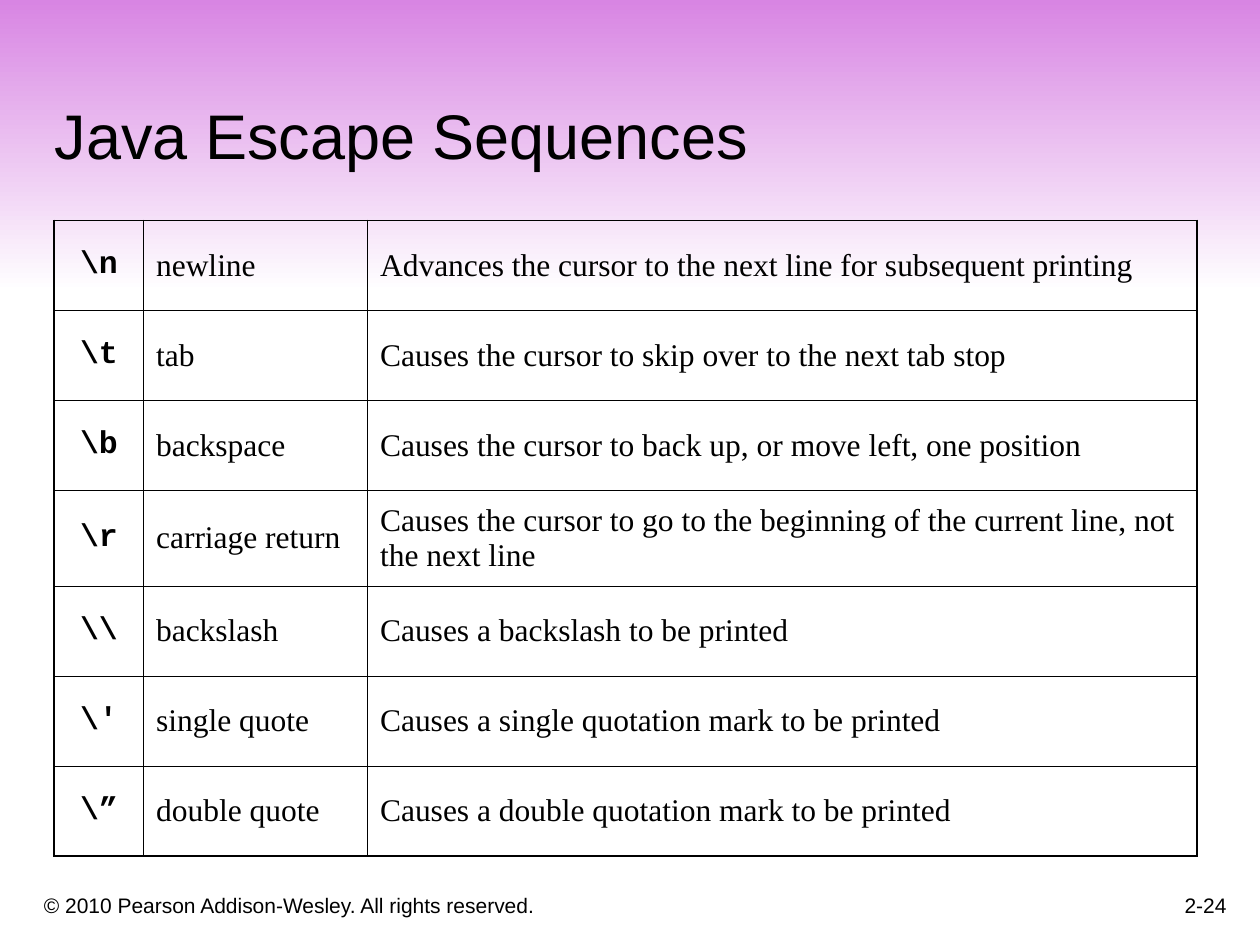
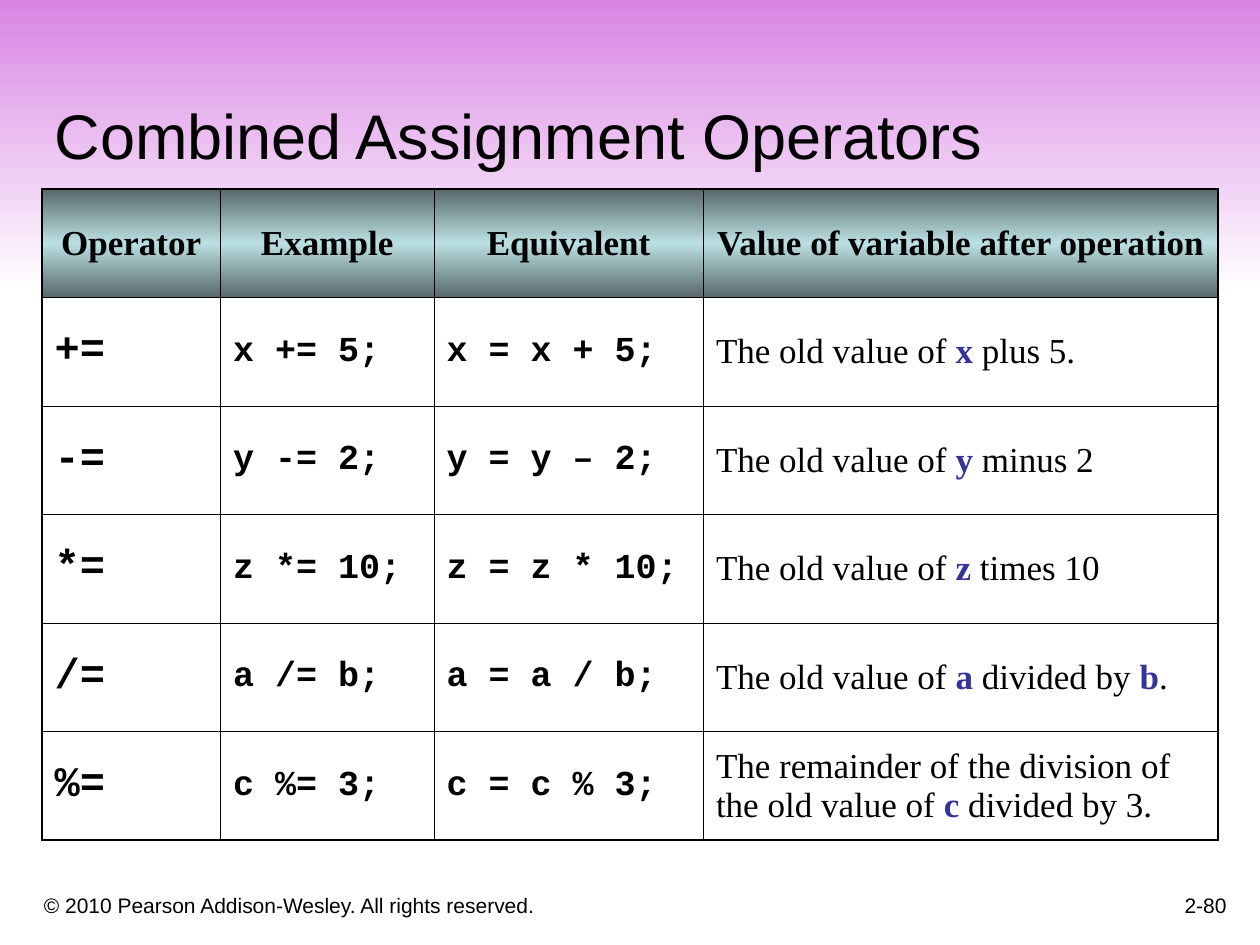
import pptx
import pptx.dml.color
import pptx.enum.shapes
import pptx.enum.text
import pptx.oxml
import pptx.oxml.ns
import pptx.util

Pt = pptx.util.Pt
ALIGN = pptx.enum.text.PP_ALIGN
ANCHOR = pptx.enum.text.MSO_ANCHOR
qn = pptx.oxml.ns.qn

COLORS = {
    "text": "000000",
    "variable": "333399",
    "band": "D885E3",
    "page": "FFFFFF",
    "header_edge": "576869",
    "header_middle": "BBE0E3",
}
SANS, SERIF, CODE = "Arial", "Times New Roman", "Courier New"
OUTER_LINE, INNER_LINE = 1.08, 0.45
COPYRIGHT = "© 2010 Pearson Addison-Wesley. All rights reserved."

ESCAPE_STYLES = [
    (CODE, 18, True, ALIGN.CENTER),
    (SERIF, 18, False, ALIGN.LEFT),
    (SERIF, 18, False, ALIGN.LEFT),
]
ESCAPE_ROWS = [
    ("\\n", "newline", "Advances the cursor to the next line for subsequent printing"),
    ("\\t", "tab", "Causes the cursor to skip over to the next tab stop"),
    ("\\b", "backspace", "Causes the cursor to back up, or move left, one position"),
    ("\\r", "carriage return",
     "Causes the cursor to go to the beginning of the current line, not the next line"),
    ("\\\\", "backslash", "Causes a backslash to be printed"),
    ("\\'", "single quote", "Causes a single quotation mark to be printed"),
    ("\\”", "double quote", "Causes a double quotation mark to be printed"),
]

HEADER_STYLE = (SERIF, 20, True, ALIGN.CENTER)
OPERATOR_STYLES = [
    (CODE, 24, True, ALIGN.LEFT),
    (CODE, 20, True, ALIGN.LEFT),
    (CODE, 20, True, ALIGN.LEFT),
    (SERIF, 20, False, ALIGN.LEFT),
]
OPERATOR_ROWS = [
    ("Operator", "Example", "Equivalent", "Value of variable after operation"),
    ("+=", "x += 5;", "x = x + 5;", "The old value of |x| plus 5."),
    ("-=", "y -= 2;", "y = y – 2;", "The old value of |y| minus 2"),
    ("*=", "z *= 10;", "z = z * 10;", "The old value of |z| times 10"),
    ("/=", "a /= b;", "a = a / b;", "The old value of |a| divided by |b|."),
    ("%=", "c %= 3;", "c = c % 3;",
     "The remainder of the division of the old value of |c| divided by 3."),
]


def rgb(name):
    return pptx.dml.color.RGBColor.from_string(COLORS[name])


def write(frame, text, font, size, bold=False, align=ALIGN.LEFT):
    para = frame.paragraphs[0]
    para.alignment = align
    para.font.name = font
    para.font.size = Pt(size)
    para.font.bold = bold
    para.font.color.rgb = rgb("text")
    for index, part in enumerate(text.split("|")):
        span = para.add_run()
        span.text = part
        if index % 2:
            span.font.bold = True
            span.font.color.rgb = rgb("variable")


def fill_gradient(fill, properties, names):
    fill.background()
    stops = "".join(
        f'<a:gs pos="{100000 * index // (len(names) - 1)}">'
        f'<a:srgbClr val="{COLORS[name]}"/></a:gs>'
        for index, name in enumerate(names))
    gradient = pptx.oxml.parse_xml(
        f'<a:gradFill {pptx.oxml.ns.nsdecls("a")} rotWithShape="1">'
        f'<a:gsLst>{stops}</a:gsLst><a:lin ang="5400000" scaled="0"/></a:gradFill>')
    properties.replace(properties.find(qn("a:noFill")), gradient)


def add_footer(page, left, width, text, align):
    box = page.shapes.add_textbox(Pt(left), Pt(498), Pt(width), Pt(30))
    box.text_frame.word_wrap = True
    box.text_frame.vertical_anchor = ANCHOR.BOTTOM
    write(box.text_frame, text, SANS, 12, align=align)


def add_page(deck, heading, number):
    page = deck.slides.add_slide(deck.slide_layouts[5])
    title = page.shapes.title
    title.left, title.top, title.width, title.height = Pt(24), Pt(24), Pt(678), Pt(78)
    title.text_frame.vertical_anchor = ANCHOR.BOTTOM
    write(title.text_frame, heading, SANS, 36)

    band = page.shapes.add_shape(
        pptx.enum.shapes.MSO_SHAPE.RECTANGLE, 0, 0, deck.slide_width, Pt(167))
    band.shadow.inherit = False
    band.line.fill.background()
    fill_gradient(band.fill, band.element.spPr, ["band", "page"])
    title.element.addprevious(band.element)

    add_footer(page, 18, 438, COPYRIGHT, ALIGN.LEFT)
    add_footer(page, 558, 150, number, ALIGN.RIGHT)
    return page


def set_borders(properties, outer_sides):
    for index, side in enumerate("LRTB"):
        width = Pt(OUTER_LINE if side in outer_sides else INNER_LINE)
        line = pptx.oxml.parse_xml(
            f'<a:ln{side} {pptx.oxml.ns.nsdecls("a")} w="{width}"><a:solidFill>'
            f'<a:srgbClr val="{COLORS["text"]}"/></a:solidFill></a:ln{side}>')
        properties.insert(index, line)


def add_grid(page, left, top, widths, heights, rows, styles, header_style=None):
    frame = page.shapes.add_table(
        len(rows), len(widths), Pt(left), Pt(top), Pt(sum(widths)), Pt(sum(heights)))
    table = frame.table
    table.first_row = header_style is not None
    table.horz_banding = False
    for column, width in zip(table.columns, widths):
        column.width = Pt(width)
    for row, height in zip(table.rows, heights):
        row.height = Pt(height)

    last_row, last_column = len(rows) - 1, len(widths) - 1
    for r, texts in enumerate(rows):
        for c, text in enumerate(texts):
            cell = table.cell(r, c)
            cell.vertical_anchor = ANCHOR.MIDDLE
            is_header = header_style and r == 0
            write(cell.text_frame, text, *(header_style if is_header else styles[c]))
            properties = cell._tc.get_or_add_tcPr()
            if is_header:
                fill_gradient(cell.fill, properties,
                              ["header_edge", "header_middle", "header_edge"])
            else:
                cell.fill.background()
            edges = {"L": c == 0, "R": c == last_column, "T": r == 0, "B": r == last_row}
            set_borders(properties, [side for side, outer in edges.items() if outer])


def main():
    deck = pptx.Presentation()
    deck.slide_width, deck.slide_height = Pt(720), Pt(540)

    page = add_page(deck, "Java Escape Sequences", "2-24")
    heights = [51.4] * 3 + [54.8] + [51.4] * 3
    add_grid(page, 31, 126, [51, 128, 474], heights, ESCAPE_ROWS, ESCAPE_STYLES)

    page = add_page(deck, "Combined Assignment Operators", "2-80")
    add_grid(page, 24, 108, [102, 122, 154, 294], [62] * len(OPERATOR_ROWS),
             OPERATOR_ROWS, OPERATOR_STYLES, HEADER_STYLE)

    deck.save("out.pptx")


if __name__ == "__main__":
    main()
